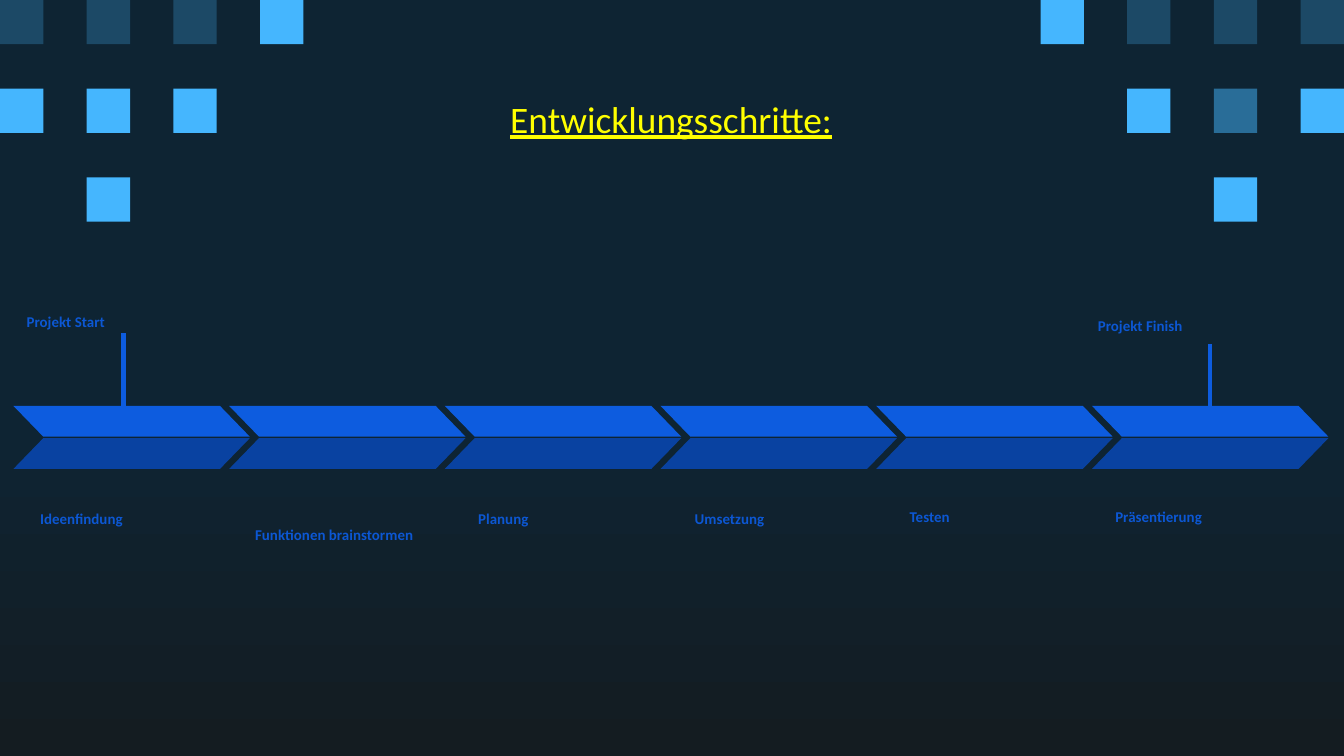
from pptx import Presentation
from pptx.dml.color import RGBColor
from pptx.enum.shapes import MSO_CONNECTOR, MSO_SHAPE
from pptx.enum.text import MSO_ANCHOR, PP_ALIGN
from pptx.oxml.ns import qn
from pptx.util import Inches, Pt
from lxml.etree import SubElement


def color(value):
    return RGBColor.from_string(value)


def format_text(sp, text, size, value, anchor):
    tf = sp.text_frame
    tf.word_wrap = True
    tf.vertical_anchor = anchor
    tf.margin_left = tf.margin_right = Inches(0.1)
    tf.margin_top = tf.margin_bottom = Inches(0.1)
    p = tf.paragraphs[0]
    p.text = text
    p.font.name = "Calibri"
    p.font.size = Pt(size)
    p.font.color.rgb = color(value)
    return p


prs = Presentation()
prs.slide_width = Inches(10)
prs.slide_height = Inches(5.625)
s = prs.slides.add_slide(prs.slide_layouts[5])

fill = s.background.fill
fill.gradient()
fill.gradient_angle = 270
for stop, position, value in zip(fill.gradient_stops, (0.56, 1), ("0E2433", "141C21")):
    stop.position = position
    stop.color.rgb = color(value)

DARK, MID, BRIGHT = "1C4966", "296D98", "45B6FE"
column = prs.slide_width / 15.5
row = Inches(0.66)
square_rows = [
    {0: DARK, 1: DARK, 2: DARK, 3: BRIGHT, 12: BRIGHT, 13: DARK, 14: DARK, 15: DARK},
    {0: BRIGHT, 1: BRIGHT, 2: BRIGHT, 13: BRIGHT, 14: MID, 15: BRIGHT},
    {1: BRIGHT, 14: BRIGHT},
]
for j, squares in enumerate(square_rows):
    for i, value in squares.items():
        sp = s.shapes.add_shape(MSO_SHAPE.RECTANGLE, int(i * column), j * row,
                                int(column / 2), row // 2)
        sp.shadow.inherit = False
        sp.fill.solid()
        sp.fill.fore_color.rgb = color(value)
        sp.line.fill.background()

title = s.shapes.title
title.left, title.top = Inches(0.78), Inches(0.7)
title.width, title.height = Inches(8.43), Inches(0.36)
p = format_text(title, "Entwicklungsschritte:", 20, "FFFF00", MSO_ANCHOR.MIDDLE)
p.alignment = PP_ALIGN.CENTER
p.font.underline = True

step = 1.605
for i in range(6):
    for top, value, flipped in ((3.02, "0D5CDF", True), (3.26, "0942A1", False)):
        sp = s.shapes.add_shape(MSO_SHAPE.PARALLELOGRAM, Inches(0.1 + i * step),
                                Inches(top), Inches(1.76), Inches(0.23))
        sp.adjustments[0] = 0.97
        sp.shadow.inherit = False
        sp.fill.solid()
        sp.fill.fore_color.rgb = color(value)
        sp.line.fill.background()
        if flipped:
            sp._element.spPr.find(qn("a:xfrm")).set("flipH", "1")

labels = [
    ("Ideenfindung", 0.2, 3.59, 1.44, 0.41, MSO_ANCHOR.BOTTOM),
    ("Funktionen brainstormen", 1.8, 3.56, 1.54, 0.56, MSO_ANCHOR.BOTTOM),
    ("Planung", 3.46, 3.61, 1.44, 0.39, MSO_ANCHOR.BOTTOM),
    ("Umsetzung", 5.07, 3.59, 1.44, 0.41, MSO_ANCHOR.BOTTOM),
    ("Testen", 6.67, 3.63, 1.44, 0.36, MSO_ANCHOR.BOTTOM),
    ("Präsentierung", 8.2, 3.63, 1.65, 0.36, MSO_ANCHOR.BOTTOM),
    ("Projekt Start", 0.1, 2.23, 1.66, 0.25, MSO_ANCHOR.TOP),
    ("Projekt Finish", 8.07, 2.26, 1.85, 0.3, MSO_ANCHOR.TOP),
]
for text, left, top, width, height, anchor in labels:
    sp = s.shapes.add_textbox(Inches(left), Inches(top), Inches(width), Inches(height))
    p = format_text(sp, text, 8, "0C57D3", anchor)
    p.font.bold = True
    p.line_spacing = 1.15

for x, top, weight in ((0.92, 2.48, 3), (9, 2.56, 2.25)):
    marker = s.shapes.add_connector(MSO_CONNECTOR.STRAIGHT, Inches(x), Inches(top),
                                    Inches(x), Inches(3.02))
    marker.line.color.rgb = color("0D5CDF")
    marker.line.width = Pt(weight)
    SubElement(marker._element.spPr, qn("a:effectLst"))

prs.save("out.pptx")
